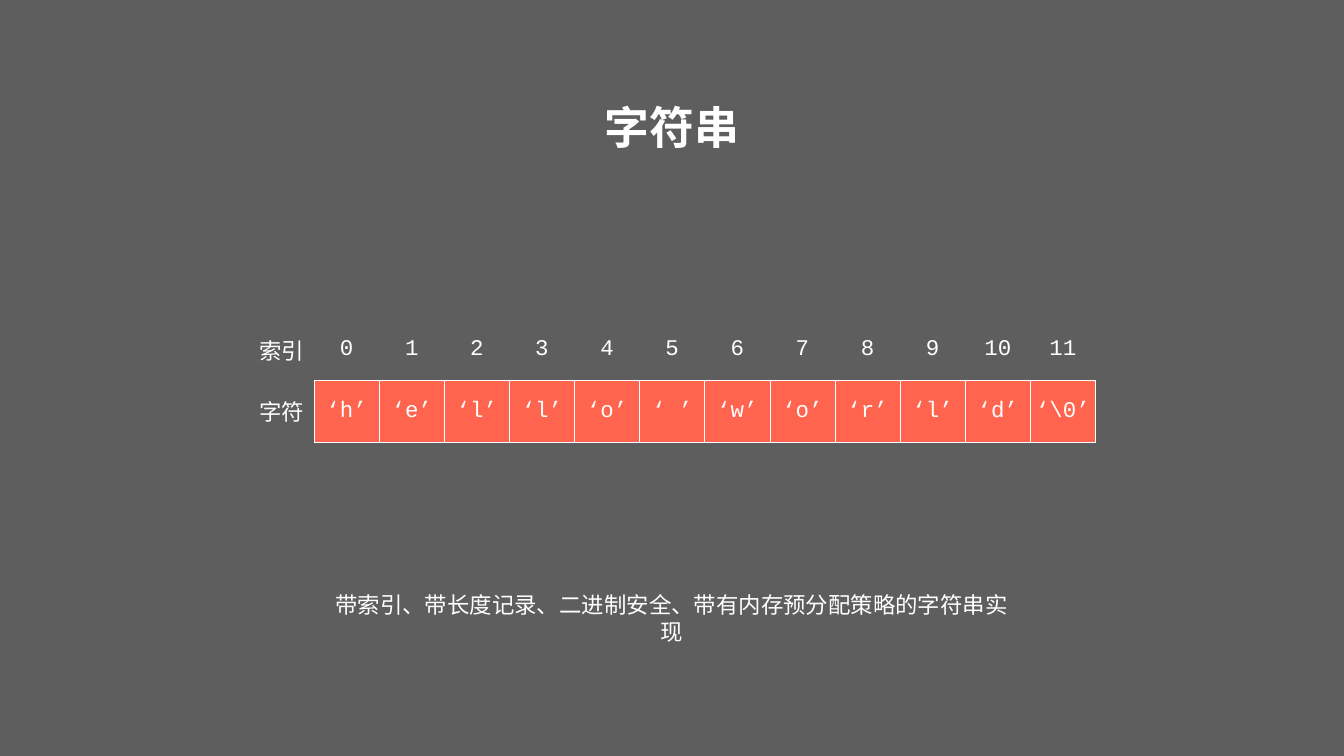
from dataclasses import dataclass

from lxml.etree import SubElement
from pptx import Presentation
from pptx.dml.color import RGBColor
from pptx.enum.text import MSO_ANCHOR as Anchor, MSO_AUTO_SIZE as AutoSize, PP_ALIGN as Align
from pptx.oxml.ns import qn
from pptx.slide import Slide
from pptx.table import _Cell as Cell
from pptx.text.text import TextFrame
from pptx.util import Inches, Pt

COLORS = {"background": "5E5E5E", "text": "FFFFFF", "character": "FF644E"}
LABEL_FONT = "Roboto"
CODE_FONT = "Courier New"
INSET = Inches(0.06)
EDGES = ("L", "R", "T", "B")
INDEX_LABEL = "索引"
CHARACTER_LABEL = "字符"
CHARACTERS = [*"hello world", "\\0"]


@dataclass
class Caption:
    text: str
    left: float
    top: float
    width: float
    height: float
    size: int
    bold: bool = False


CAPTIONS = [
    Caption("字符串", 11.94, 1.83, 2.79, 1.36, 64, True),
    Caption("带索引、带长度记录、二进制安全、带有内存预分配策略的字符串实现",
            6.38, 11.89, 13.9, 0.74, 32),
]


def color(name: str) -> RGBColor:
    return RGBColor.from_string(COLORS[name])


def write_text(text_frame: TextFrame, text: str, font_name: str, size: int,
               bold: bool = False) -> None:
    text_frame.text = text
    paragraph = text_frame.paragraphs[0]
    paragraph.alignment = Align.CENTER
    font = paragraph.runs[0].font
    font.name = font_name
    font.size = Pt(size)
    font.bold = bold
    font.color.rgb = color("text")


def set_borders(cell: Cell, visible: str) -> None:
    properties = cell._tc.get_or_add_tcPr()
    for edge in EDGES:
        line = SubElement(properties, qn(f"a:ln{edge}"), w=str(Pt(1)))
        if edge in visible:
            fill = SubElement(line, qn("a:solidFill"))
            SubElement(fill, qn("a:srgbClr"), val=COLORS["text"])
        else:
            SubElement(line, qn("a:noFill"))


def draw_cell(cell: Cell, text: str, font_name: str, borders: str, filled: bool) -> None:
    set_borders(cell, borders)
    if filled:
        cell.fill.solid()
        cell.fill.fore_color.rgb = color("character")
    else:
        cell.fill.background()
    cell.vertical_anchor = Anchor.MIDDLE
    cell.margin_left = cell.margin_right = INSET
    cell.margin_top = cell.margin_bottom = INSET
    write_text(cell.text_frame, text, font_name, 32)


def draw_string_table(slide: Slide) -> None:
    column_count = len(CHARACTERS) + 1
    table = slide.shapes.add_table(2, column_count, Inches(4.94), Inches(6.32),
                                   Inches(16.8), Inches(2.45)).table
    table.first_row = False
    table.horz_banding = False
    draw_cell(table.cell(0, 0), INDEX_LABEL, LABEL_FONT, "", False)
    draw_cell(table.cell(1, 0), CHARACTER_LABEL, LABEL_FONT, "R", False)
    for index, character in enumerate(CHARACTERS):
        draw_cell(table.cell(0, index + 1), str(index), CODE_FONT, "B", False)
        draw_cell(table.cell(1, index + 1), f"‘{character}’", CODE_FONT, "LRTB", True)


def draw_caption(slide: Slide, caption: Caption) -> None:
    shape = slide.shapes.add_textbox(Inches(caption.left), Inches(caption.top),
                                     Inches(caption.width), Inches(caption.height))
    text_frame = shape.text_frame
    text_frame.word_wrap = False
    text_frame.auto_size = AutoSize.SHAPE_TO_FIT_TEXT
    text_frame.vertical_anchor = Anchor.MIDDLE
    text_frame.margin_left = text_frame.margin_right = INSET
    text_frame.margin_top = text_frame.margin_bottom = INSET
    write_text(text_frame, caption.text, LABEL_FONT, caption.size, caption.bold)


def main() -> None:
    presentation = Presentation()
    presentation.slide_width = Inches(26.67)
    presentation.slide_height = Inches(15)
    slide = presentation.slides.add_slide(presentation.slide_layouts[6])
    slide.background.fill.solid()
    slide.background.fill.fore_color.rgb = color("background")
    draw_string_table(slide)
    for caption in CAPTIONS:
        draw_caption(slide, caption)
    presentation.save("out.pptx")


if __name__ == "__main__":
    main()
